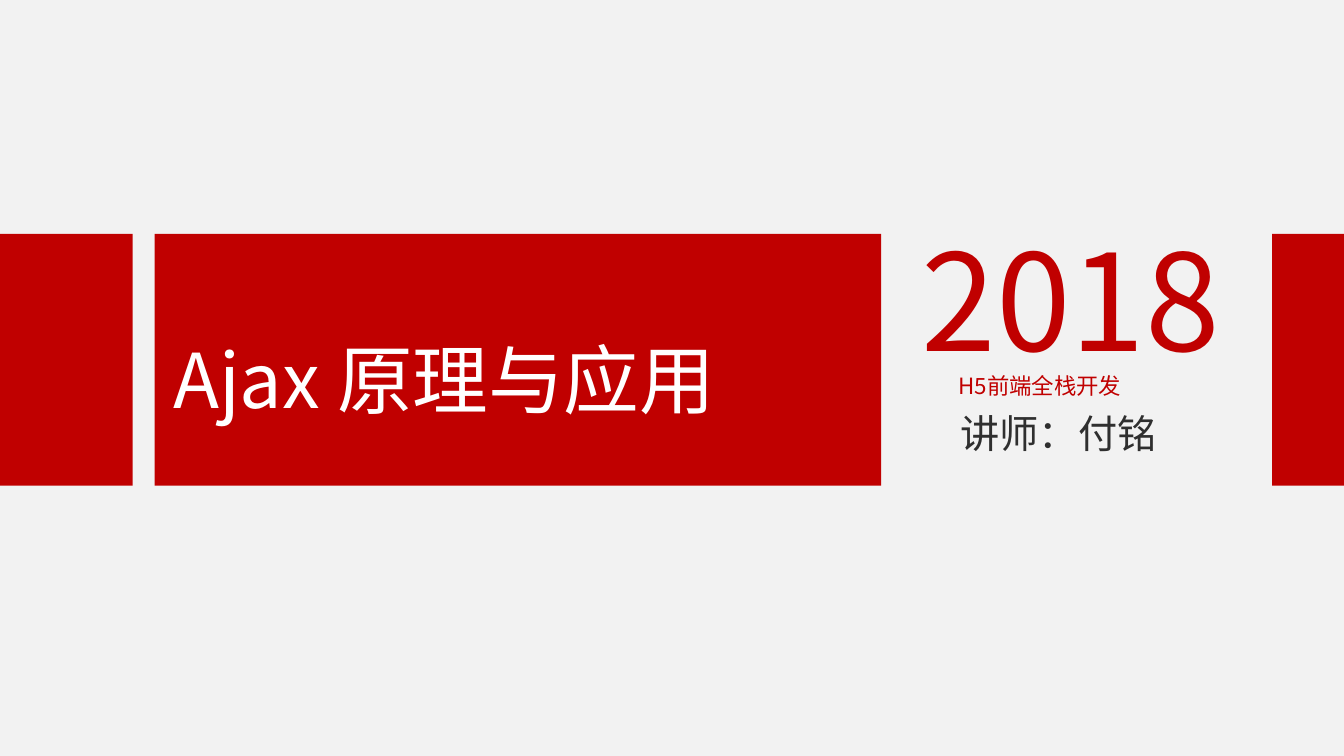
from pptx import Presentation
from pptx.dml.color import RGBColor as RGB
from pptx.enum.shapes import MSO_SHAPE as Shape
from pptx.oxml.ns import qn
from pptx.oxml.xmlchemy import OxmlElement as Node
from pptx.util import Inches, Pt

RED = RGB(0xC0, 0x00, 0x00)
PALE = RGB(0xF2, 0xF2, 0xF2)
WHITE = RGB(0xFF, 0xFF, 0xFF)
DARK = RGB(0x2F, 0x2F, 0x2F)
FACE = "Noto Sans CJK JP"
WIDTH, HEIGHT = 13.33, 7.5
TOP, TALL = 30.93, 33.33  # the red band


class Page:
    """Holds the style and the current slide; lengths are percent of it."""

    def __init__(self, deck, face, back):
        """Add a blank slide with a plain background."""
        self.face = face
        self.slide = deck.slides.add_slide(deck.slide_layouts[6])
        fill = self.slide.background.fill
        fill.solid()
        fill.fore_color.rgb = back

    def place(self, left, top, wide, tall):
        """Turn shares of the slide into lengths."""
        sides = (WIDTH, HEIGHT, WIDTH, HEIGHT)
        shares = (left, top, wide, tall)
        return [Inches(n * side / 100) for n, side in zip(shares, sides)]

    def block(self, left, top, wide, tall, color):
        """Draw a plain filled rectangle."""
        box = self.place(left, top, wide, tall)
        shape = self.slide.shapes.add_shape(Shape.RECTANGLE, *box)
        shape.shadow.inherit = False
        shape.fill.solid()
        shape.fill.fore_color.rgb = color
        shape.line.fill.background()

    def text(self, words, left, top, wide, tall, size, color):
        """Write one line of text, in the same face for all scripts."""
        box = self.place(left, top, wide, tall)
        frame = self.slide.shapes.add_textbox(*box).text_frame
        frame.word_wrap = False
        frame.margin_right = 0  # room for the last character
        line = frame.paragraphs[0]
        line.text = words
        font = line.font
        font.size = Pt(size)
        font.color.rgb = color
        font.name = self.face
        for style in line._p.iter(qn("a:defRPr")):
            east = Node("a:ea")
            east.set("typeface", self.face)
            style.append(east)


def main():
    """Build the title slide."""
    deck = Presentation()
    deck.slide_width, deck.slide_height = Inches(WIDTH), Inches(HEIGHT)
    page = Page(deck, FACE, PALE)

    page.block(0, TOP, 65.57, TALL, RED)
    page.block(94.65, TOP, 5.35, TALL, RED)
    page.block(9.86, 23.87, 1.65, 53.6, PALE)

    page.text("Ajax 原理与应用", 12.15, 43.33, 43.14, 13.33, 54, WHITE)
    page.text("2018", 67.82, 28, 23.71, 22.67, 96, RED)
    page.text("H5前端全栈开发", 70.59, 48.53, 13.95, 4.8, 16, RED)
    page.text("讲师：付铭", 70.74, 53.47, 16.05, 7.6, 28, DARK)

    deck.save("out.pptx")


main()
